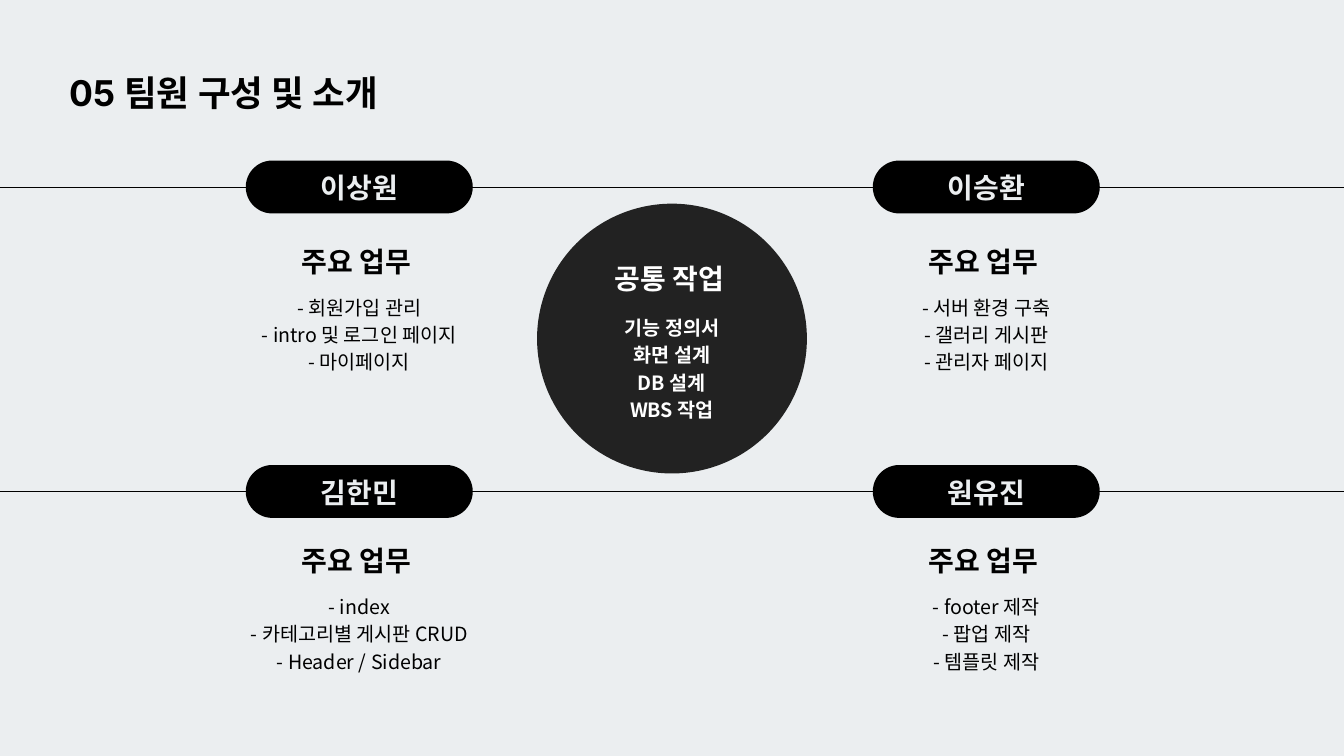
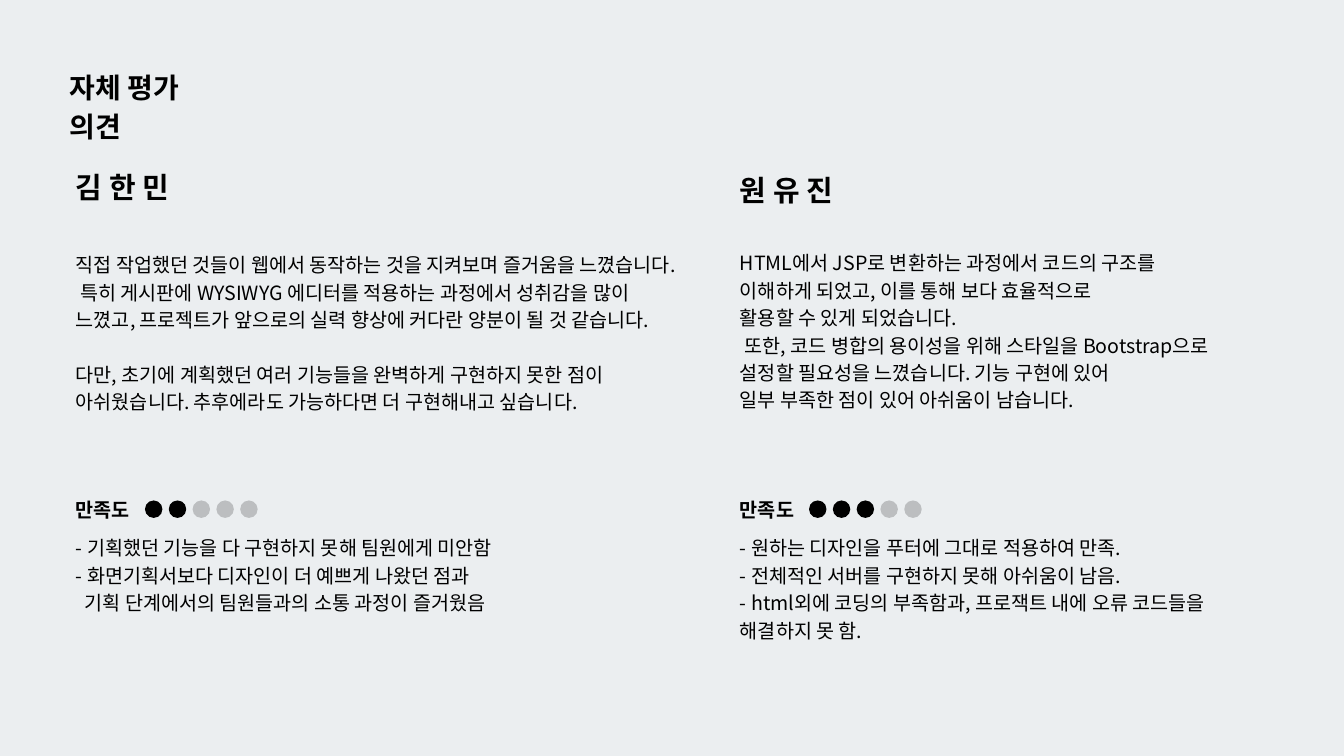
from pptx import Presentation
from pptx.dml.color import RGBColor
from pptx.enum.shapes import MSO_CONNECTOR, MSO_SHAPE
from pptx.enum.text import MSO_AUTO_SIZE, PP_ALIGN
from pptx.oxml.ns import qn
from pptx.util import Cm, Pt
from lxml import etree

LEFT, MID, JUST = PP_ALIGN.LEFT, PP_ALIGN.CENTER, PP_ALIGN.JUSTIFY
OVAL, PILL = MSO_SHAPE.OVAL, MSO_SHAPE.ROUNDED_RECTANGLE
LINE = MSO_CONNECTOR.STRAIGHT
GROW = MSO_AUTO_SIZE.SHAPE_TO_FIT_TEXT

BACK, INK, DARK, WHITE = "EBEEF0", "000000", "222222", "FFFFFF"
NOTO, INTER = "Noto Sans CJK SC", "Inter"
WIDE, HIGH = 50.8, 28.58
PT_CM = 2.54 / 72

# Text styles: font values and line height in points
STYLES = {
    "title": (dict(name=INTER, size=Pt(38), bold=True), 53.2),
    "sub": (dict(name=INTER, size=Pt(30), bold=True), 42),
    "head": (dict(name=NOTO, size=Pt(30), bold=True), 42),
    "name": (dict(name=NOTO, size=Pt(31), bold=True), 43.4),
    "tight": (dict(name=NOTO, size=Pt(31), bold=True), 33.5),
    "body": (dict(name=NOTO, size=Pt(21), bold=False), 29.4),
    "strong": (dict(name=NOTO, size=Pt(21), bold=True), 29.4),
}


def rgb(code):
    return RGBColor.from_string(code)


class Deck:
    def __init__(self):
        self.prs = Presentation()
        self.prs.slide_width, self.prs.slide_height = Cm(WIDE), Cm(HIGH)
        self.slide = None

    def page(self):
        self.slide = self.prs.slides.add_slide(self.prs.slide_layouts[6])
        fill = self.slide.background.fill
        fill.solid()
        fill.fore_color.rgb = rgb(BACK)

    def title(self, text, y, w, style):
        self.text(2.64, y, w, [text], style)

    def text(self, x, y, w, lines, style="body", color=INK, align=LEFT,
             gap=0, indents=None):
        """Indents maps a line number to its first-line indent in cm."""
        look, lead = STYLES[style]
        high = len(lines) * lead * PT_CM
        box = self.slide.shapes.add_textbox(Cm(x), Cm(y), Cm(w), Cm(high))
        frame = box.text_frame
        form = dict(margin_left=0, margin_right=0, margin_top=0,
                    margin_bottom=0, word_wrap=True, auto_size=GROW)
        for key, value in form.items():
            setattr(frame, key, value)
        for i, line in enumerate(lines):
            para = frame.add_paragraph() if i else frame.paragraphs[0]
            para.alignment, para.line_spacing = align, Pt(lead)
            if i and gap:
                para.space_before = Pt(gap)
            if indents and i in indents:
                para._p.get_or_add_pPr().set("indent", str(Cm(indents[i])))
            run = para.add_run()
            run.text = line
            for key, value in look.items():
                setattr(run.font, key, value)
            run.font.color.rgb = rgb(color)
            east = etree.SubElement(run._r.get_or_add_rPr(), qn("a:ea"))
            east.set("typeface", look["name"])

    def shape(self, kind, x, y, w, h, color, alpha=100):
        item = self.slide.shapes.add_shape(kind, Cm(x), Cm(y), Cm(w), Cm(h))
        item.shadow.inherit = False
        item.line.fill.background()
        item.fill.solid()
        item.fill.fore_color.rgb = rgb(color)
        if alpha < 100:
            tone = item.fill._xPr.find(qn("a:solidFill"))[0]
            etree.SubElement(tone, qn("a:alpha")).set("val", str(alpha * 1000))
        return item

    def rule(self, y):
        line = self.slide.shapes.add_connector(LINE, 0, Cm(y), Cm(WIDE), Cm(y))
        line.line.color.rgb = rgb(INK)
        line.line.width = Pt(0.75)
        etree.SubElement(line._element.spPr, qn("a:effectLst"))

    def badge(self, mid, y, name):
        pill = self.shape(PILL, mid - 4.29, y - 1, 8.58, 2, INK)
        pill.adjustments[0] = 0.5
        self.text(mid - 2.17, y - 0.82, 4.34, [name], "head", BACK, MID)

    def duty(self, mid, y, w, tasks):
        self.text(mid - 2.17, y, 4.34, ["주요 업무"], "head")
        self.text(mid - w / 2, y + 1.98, w, tasks, align=MID)

    def score(self, x, y, count):
        self.text(x, y, 2.06, ["만족도"], "strong")
        for i in range(5):
            self.shape(OVAL, x + 2.61 + i * 0.9, y + 0.23, 0.66, 0.66, INK,
                       100 if i < count else 20)


def team(deck):
    deck.page()
    near, far = 13.58, 37.28
    # Each row: line height, duty top, members as (centre, name, width, tasks)
    rows = [
        (18.58, 20.35, [
            (near, "김한민", 8.71,
             ["- index", "- 카테고리별 게시판 CRUD", "- Header / Sidebar"]),
            (far, "원유진", 4.34,
             ["- footer 제작", "- 팝업 제작", "- 템플릿 제작"])]),
        (7.07, 9.04, [
            (near, "이상원", 7.87,
             ["- 회원가입 관리", "- intro 및 로그인 페이지", "- 마이페이지"]),
            (far, "이승환", 5.44,
             ["- 서버 환경 구축", "- 갤러리 게시판", "- 관리자 페이지"])]),
    ]
    for y, top, people in rows:
        deck.rule(y)
        for mid, name, w, tasks in people:
            deck.badge(mid, y, name)
            deck.duty(mid, top, w, tasks)
    # Shared work
    deck.shape(OVAL, 20.3, 7.7, 10.2, 10.2, DARK)
    deck.title("05 팀원 구성 및 소개", 2.41, 11.79, "title")
    deck.text(23.24, 9.68, 4.32, ["공통 작업"], "head", WHITE, JUST)
    deck.text(22.78, 11.79, 5.23,
              ["기능 정의서", "화면 설계", "DB 설계", "WBS 작업"],
              "strong", WHITE, MID)


def review(deck):
    deck.page()
    deck.title("자체 평가 의견", 2.46, 6.32, "sub")
    left, right, mark, notes = 2.87, 27.97, 18.69, 20.12
    # Left member
    deck.text(left, 6.55, 3.63, ["김 한 민"], "tight")
    deck.text(left, 9.42, 22.56, [
        "직접 작업했던 것들이 웹에서 동작하는 것을 지켜보며 즐거움을 느꼈습니다. "
        "특히 게시판에 WYSIWYG 에디터를 적용하는 과정에서 성취감을 많이 느꼈고, "
        "프로젝트가 앞으로의 실력 향상에 커다란 양분이 될 것 같습니다.",
        "다만, 초기에 계획했던 여러 기능들을 완벽하게 구현하지 못한 점이 "
        "아쉬웠습니다. 추후에라도 가능하다면 더 구현해내고 싶습니다."], gap=29.4)
    deck.score(left, mark, 2)
    deck.text(left, notes, 16.21, [
        "- 기획했던 기능을 다 구현하지 못해 팀원에게 미안함",
        "- 화면기획서보다 디자인이 더 예쁘게 나왔던 점과",
        "기획 단계에서의 팀원들과의 소통 과정이 즐거웠음"], indents={2: 0.34})
    # Right member
    deck.text(right, 6.3, 3.63, ["원 유 진"], "name")
    deck.text(right, 9.35, 18.24, [
        "HTML에서 JSP로 변환하는 과정에서 코드의 구조를",
        "이해하게 되었고, 이를 통해 보다 효율적으로",
        "활용할 수 있게 되었습니다.",
        "또한, 코드 병합의 용이성을 위해 스타일을 Bootstrap으로",
        "설정할 필요성을 느꼈습니다. 기능 구현에 있어",
        "일부 부족한 점이 있어 아쉬움이 남습니다."], indents={3: 0.18})
    deck.score(right, mark, 3)
    deck.text(right, notes, 17.83, [
        "- 원하는 디자인을 푸터에 그대로 적용하여 만족.",
        "- 전체적인 서버를 구현하지 못해 아쉬움이 남음.",
        "- html외에 코딩의 부족함과, 프로잭트 내에 오류 코드들을",
        "해결하지 못 함."])


def main():
    deck = Deck()
    team(deck)
    review(deck)
    deck.prs.save("out.pptx")


if __name__ == "__main__":
    main()
